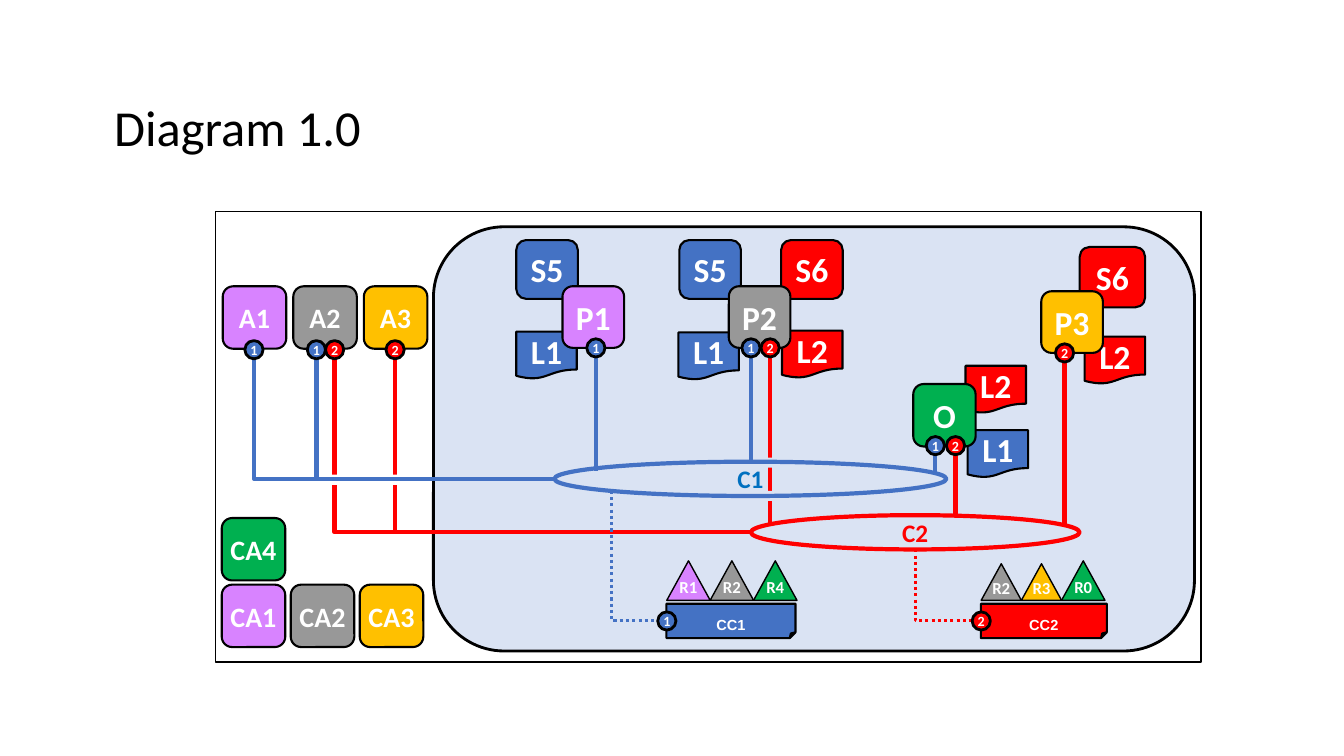
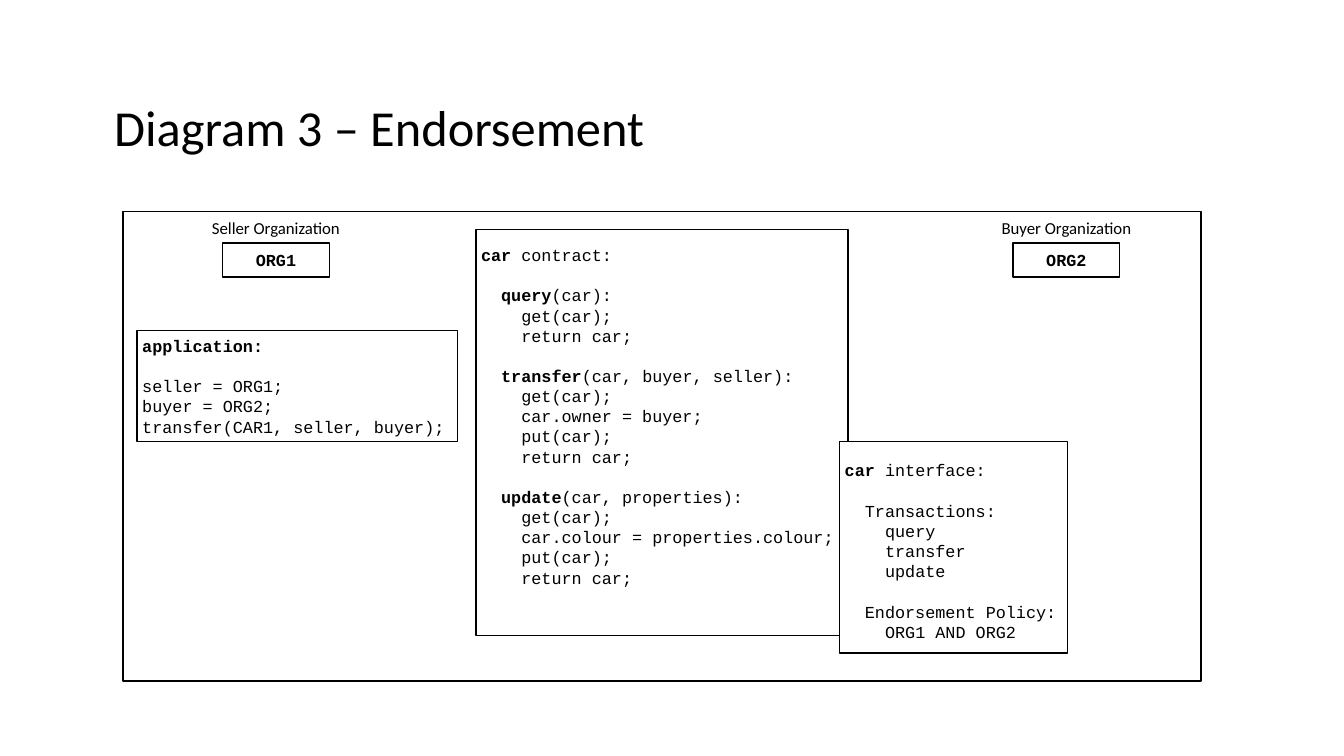
from collections import namedtuple

from lxml import etree
from pptx import Presentation
from pptx.dml.color import RGBColor
from pptx.enum import dml, shapes, text
from pptx.oxml import ns
from pptx.util import Pt

BLACK = RGBColor(0x00, 0x00, 0x00)
WHITE = RGBColor(0xFF, 0xFF, 0xFF)
RED = RGBColor(0xFF, 0x00, 0x00)
BLUE = RGBColor(0x44, 0x72, 0xC4)
SKY = RGBColor(0x00, 0x70, 0xC0)
PALE = RGBColor(0xDA, 0xE3, 0xF3)
PURPLE = RGBColor(0xD8, 0x83, 0xFF)
GREY = RGBColor(0x98, 0x98, 0x98)
GOLD = RGBColor(0xFF, 0xC0, 0x00)
GREEN = RGBColor(0x00, 0xB0, 0x50)

SANS, MONO = "Calibri", "Courier New"
CHANNEL_COLOR = {1: BLUE, 2: RED}
KIND = shapes.MSO_SHAPE
CODE_SIZE, CODE_LINE, CODE_INDENT = 12, 14.4, 14.4
CARD_W, CARD_H = 45.4, 44.6
PORT = 13


class Box(namedtuple("Box", "left top width height")):
    def inside(self, left, top, width, height):
        """A box whose position is measured from this one's corner."""
        return Box(self.left + left, self.top + top, width, height)

    def points(self):
        return [Pt(length) for length in self]


TITLE_BOX = Box(78, 41, 828, 104.4)
NETWORK_BOX = Box(154, 151, 704, 322)
ENDORSEMENT_BOX = Box(88, 151, 770, 335.5)


def add_span(para, words, size, color, font=SANS, bold=False):
    span = para.add_run()
    span.text = words
    span.font.name, span.font.size, span.font.bold = font, Pt(size), bold
    span.font.color.rgb = color
    return span


def set_insets(frame, left, top, right, bottom):
    frame.margin_left, frame.margin_top = Pt(left), Pt(top)
    frame.margin_right, frame.margin_bottom = Pt(right), Pt(bottom)


def add_block(page, kind, box, fill=None, line=BLACK, weight=1.5):
    block = page.shapes.add_shape(kind, *box.points())
    block.shadow.inherit = False
    if fill is None:
        block.fill.background()
    else:
        block.fill.solid()
        block.fill.fore_color.rgb = fill
    if line is None:
        block.line.fill.background()
    else:
        block.line.color.rgb = line
        block.line.width = Pt(weight)
    return block


def add_label(block, words, size, color=WHITE, font=SANS, bold=True,
              insets=(0, 3.6, 0, 3.6)):
    """Write one centred line into a shape or text box."""
    frame = block.text_frame
    frame.word_wrap = False
    frame.vertical_anchor = text.MSO_ANCHOR.MIDDLE
    set_insets(frame, *insets)
    para = frame.paragraphs[0]
    para.alignment = text.PP_ALIGN.CENTER
    return add_span(para, words, size, color, font, bold)


def style_line(connector, color, weight):
    connector.line.color.rgb = color
    connector.line.width = Pt(weight)
    etree.SubElement(connector._element.spPr, ns.qn("a:effectLst"))


def add_drop(page, box, x, top, bottom, color):
    ends = [Pt(v) for v in (box.left + x, box.top + top,
                            box.left + x, box.top + bottom)]
    drop = page.shapes.add_connector(shapes.MSO_CONNECTOR.STRAIGHT, *ends)
    style_line(drop, color, 3)


def add_elbow(page, box, start, end, color, weight=3, dotted=False):
    """Run down from start, then right to end."""
    run, fall = end[0] - start[0], end[1] - start[1]
    left = box.left + (start[0] + end[0] - fall) / 2
    top = box.top + (start[1] + end[1] - run) / 2
    elbow = page.shapes.add_connector(
        shapes.MSO_CONNECTOR.ELBOW,
        Pt(left + fall), Pt(top), Pt(left), Pt(top + run))
    outline = elbow._element.spPr
    outline.find(ns.qn("a:xfrm")).set("rot", "16200000")
    outline.find(ns.qn("a:prstGeom")).set("prst", "bentConnector2")
    style_line(elbow, color, weight)
    if dotted:
        elbow.line.dash_style = dml.MSO_LINE.ROUND_DOT


def add_port(page, box, x, y, channel):
    """Numbered dot centred on a point of the box."""
    dot = add_block(page, KIND.OVAL,
                    box.inside(x - PORT / 2, y - PORT / 2, PORT, PORT),
                    CHANNEL_COLOR[channel], weight=2)
    add_label(dot, str(channel), 10, insets=(0, 0, 0, 0))


def add_card(page, box, words, fill, size):
    card = add_block(page, KIND.ROUNDED_RECTANGLE, box, fill)
    add_label(card, words, size)


def add_page(deck, title):
    page = deck.slides.add_slide(deck.slide_layouts[6])
    frame = page.shapes.add_textbox(*TITLE_BOX.points()).text_frame
    frame.word_wrap = True
    frame.vertical_anchor = text.MSO_ANCHOR.MIDDLE
    set_insets(frame, 3.6, 3.6, 3.6, 3.6)
    para = frame.paragraphs[0]
    para.line_spacing = 0.9
    add_span(para, title, 36, BLACK)
    return page


def add_peer(page, box, name, fill, systems, ledgers, ports):
    """Peer tile with systems and ledgers behind it, and lines to channels."""
    for x, channel, reach in ports:
        add_drop(page, box, x, 44, reach, CHANNEL_COLOR[channel])
    for words, channel, x, y in ledgers:
        ledger = add_block(page, KIND.FLOWCHART_DOCUMENT,
                           box.inside(x, y, 43.2, 33.8), CHANNEL_COLOR[channel])
        add_label(ledger, words, 24)
    for words, channel, x, y, width, height in systems:
        add_card(page, box.inside(x, y, width, height), words,
                 CHANNEL_COLOR[channel], 24)
    add_card(page, box, name, fill, 24)
    for x, channel, _ in ports:
        add_port(page, box, x, 44, channel)


def add_peers(page, area):
    add_peer(page, area.inside(247.8, 53.5, 44, 44), "P1", PURPLE,
             [("S5", 1, -33, -33, 44, 42)], [("L1", 1, -33, 32.4)],
             [(23.8, 1, 131.7)])
    add_peer(page, area.inside(366.6, 53.5, 44, 44), "P2", GREY,
             [("S5", 1, -35.3, -33, 44, 42), ("S6", 2, 37.4, -33, 44, 42)],
             [("L1", 1, -36, 33), ("L2", 2, 38, 31.7)],
             [(15.8, 1, 125.3), (29.5, 2, 170)])
    add_peer(page, area.inside(589.8, 57.1, 44, 44), "P3", GOLD,
             [("S6", 2, 27.4, -31.7, 46.8, 43.2)], [("L2", 2, 31, 32.4)],
             [(16.6, 2, 167.7)])
    add_peer(page, area.inside(498.3, 123.3, 44.6, 44.6), "O", GREEN, [],
             [("L1", 1, 38.9, 33), ("L2", 2, 37.4, -13)],
             [(15.8, 1, 63.4), (30.2, 2, 93.7)])


def add_gap(page, area, x, y, color):
    add_block(page, KIND.RECTANGLE, area.inside(x, y, 7.2, 7.2), color, None)


def add_channels(page, area):
    for y in (175.9, 199.6):
        add_gap(page, area, 393.2, y, PALE)
    for words, color, ink, x, y, width in (
            ("C1", BLUE, SKY, 242, 178.8, 280),
            ("C2", RED, RED, 382.4, 217, 234.7)):
        ring = add_block(page, KIND.OVAL, area.inside(x, y, width, 24.5),
                         line=color, weight=3)
        add_label(ring, words, 18, ink)


def add_applications(page, area):
    """Application cards with their lines to the channels."""
    ports = [(27.4, 1), (72, 1), (85, 2), (128.2, 2)]
    ends = {1: (242, 191), 2: (382.4, 229.2)}
    for channel in (2, 1):
        starts = [x for x, number in ports if number == channel]
        for x in starts:
            add_elbow(page, area, (x, 98.8), ends[channel],
                      CHANNEL_COLOR[channel])
        if channel == 2:
            for x in starts:
                add_gap(page, area, x - 3.6, 188.1, WHITE)
    for place, fill in enumerate((PURPLE, GREY, GOLD)):
        add_card(page, area.inside(5.1 + 50.4 * place, 53.5, CARD_W, CARD_H),
                 f"A{place + 1}", fill, 20)
    for x, channel in ports:
        add_port(page, area, x, 98.8, channel)


def add_authorities(page, area):
    for words, fill, column, y in (("CA4", GREEN, 0, 219),
                                   ("CA1", PURPLE, 0, 266.6),
                                   ("CA2", GREY, 1, 266.6),
                                   ("CA3", GOLD, 2, 266.6)):
        add_card(page, area.inside(4.4 + 49.3 * column, y, CARD_W, CARD_H),
                 words, fill, 20)


def add_configuration(page, box, channel, members):
    """Channel configuration note with a row of member triangles on top."""
    note = add_block(page, KIND.FOLDED_CORNER, box, CHANNEL_COLOR[channel])
    span = add_label(note, f"CC{channel}", 18, font="Arial",
                     insets=(2.9, 3.6, 2.9, 5.8))
    span._r.get_or_add_rPr().set("baseline", "-25000")
    x = 0.3
    for words, fill, width in members:
        height = 0.91 * width
        mark = add_block(page, KIND.ISOSCELES_TRIANGLE,
                         box.inside(x, -2.5 - height, width, height), fill,
                         weight=1)
        add_label(mark, words, 12, insets=(0, 3.6, 0, 8.6))
        x += width
    add_port(page, box, 0.3, box.height / 2, channel)


def add_network(page, area):
    add_block(page, KIND.ROUNDED_RECTANGLE, area.inside(155.6, 11, 543.6, 303),
              PALE, weight=2)
    add_block(page, KIND.RECTANGLE, area, weight=1)
    add_peers(page, area)
    add_channels(page, area)
    add_applications(page, area)
    add_authorities(page, area)
    for start, end, color in (((283, 199.6), (315.4, 292.5), BLUE),
                              ((499.8, 241.4), (540.8, 292.5), RED)):
        add_elbow(page, area, start, end, color, 2.25, dotted=True)
    add_configuration(page, area.inside(322, 280.3, 92.2, 24.5), 1,
                      [("R1", PURPLE, 31), ("R2", GREY, 31), ("R4", GREEN, 31)])
    add_configuration(page, area.inside(546.6, 280.3, 90, 24.5), 2,
                      [("R2", GREY, 28.7), ("R3", GOLD, 28.7), ("R0", GREEN, 31)])


def add_organization(page, box, role, name):
    card = add_block(page, KIND.RECTANGLE, box, WHITE, weight=1)
    add_label(card, name, CODE_SIZE, BLACK, MONO)
    caption = page.shapes.add_textbox(
        *box.inside(-12, -21.6, box.width + 24, 21.6).points())
    add_label(caption, role, 12, BLACK, bold=False)


def add_code(page, box, inset, groups):
    """Panel of code; groups of (level, bold, plain) lines, a line apart."""
    frame = add_block(page, KIND.RECTANGLE, box, WHITE, weight=1).text_frame
    frame.word_wrap = True
    frame.vertical_anchor = text.MSO_ANCHOR.TOP
    set_insets(frame, 3.6, inset, 3.6, 0)
    for number, group in enumerate(groups):
        for row, (level, bold, plain) in enumerate(group):
            first = number == row == 0
            para = frame.paragraphs[0] if first else frame.add_paragraph()
            para.alignment = text.PP_ALIGN.LEFT
            para.line_spacing = Pt(CODE_LINE)
            para.space_before = Pt(CODE_LINE if number and not row else 0)
            para._p.get_or_add_pPr().set("marL", str(Pt(CODE_INDENT * level)))
            for words, heavy in ((bold, True), (plain, False)):
                if words:
                    add_span(para, words, CODE_SIZE, BLACK, MONO, heavy)


def method(name, arguments, *body):
    return [(1, name, arguments)] + [(2, "", line) for line in body]


def add_endorsement(page, area):
    add_block(page, KIND.RECTANGLE, area, weight=1)
    for x, role, name in ((71, "Seller Organization", "ORG1"),
                          (635.6, "Buyer Organization", "ORG2")):
        add_organization(page, area.inside(x, 22.5, 76.3, 24.5), role, name)
    add_code(page, area.inside(252, 13, 265.7, 290), 10.8, [
        [(0, "car", " contract:")],
        method("query", "(car):", "get(car);", "return car;"),
        method("transfer", "(car, buyer, seller):", "get(car);",
               "car.owner = buyer;", "put(car);", "return car;"),
        method("update", "(car, properties):", "get(car);",
               "car.colour = properties.colour;", "put(car);", "return car;")])
    add_code(page, area.inside(511.8, 164.4, 162.7, 151.2), 13.3, [
        [(0, "car", " interface:")],
        method("", "Transactions:", "query", "transfer", "update"),
        method("", "Endorsement Policy:", "ORG1 AND ORG2")])
    add_code(page, area.inside(10, 85.2, 229, 79.2), 3.6, [
        [(0, "application:", "")],
        [(0, "", "seller = ORG1;"), (0, "", "buyer = ORG2;"),
         (0, "", "transfer(CAR1, seller, buyer);")]])


def main():
    deck = Presentation()
    deck.slide_width, deck.slide_height = Pt(960), Pt(540)
    add_network(add_page(deck, "Diagram 1.0"), NETWORK_BOX)
    add_endorsement(add_page(deck, "Diagram 3 – Endorsement"), ENDORSEMENT_BOX)
    deck.save("out.pptx")


if __name__ == "__main__":
    main()
